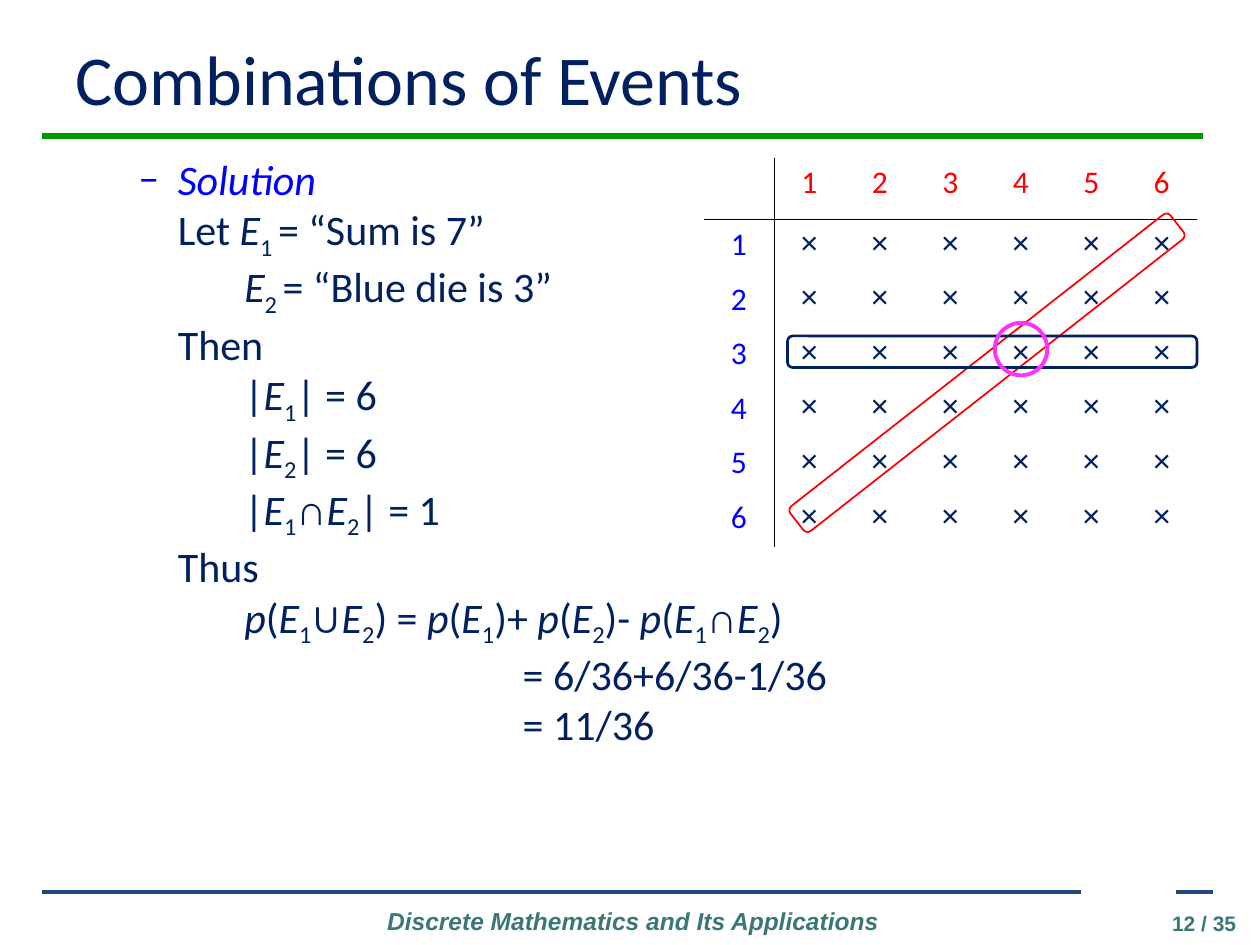
from dataclasses import dataclass
from typing import Any

from lxml import etree
from pptx import Presentation
from pptx import util as u
from pptx.dml.color import RGBColor
from pptx.enum import shapes, text
from pptx.oxml import ns

Pt = u.Pt
SIDES = ("lnL", "lnR", "lnT", "lnB")


def color(value):
    return RGBColor.from_string(value)


def add_xml(parent, tag, **attributes):
    return etree.SubElement(parent, ns.qn(f"a:{tag}"), attributes)


@dataclass
class Sheet:
    slide: Any
    font: str = "Calibri"
    symbol_font: str = "Arial"
    ink: str = "002060"
    blue: str = "0000FF"
    red: str = "FF0000"
    footer: str = "3A7877"

    def style(self, span, size, ink=None, font=None, bold=False, italic=False):
        span.font.size = Pt(size)
        span.font.name = font or self.font
        span.font.color.rgb = color(ink or self.ink)
        span.font.bold = bold
        span.font.italic = italic

    def frame(self, left, top, width, height):
        box = self.slide.shapes.add_textbox(Pt(left), Pt(top), Pt(width), Pt(height))
        box.text_frame.word_wrap = True
        return box.text_frame

    def label(self, words, place, size, align=text.PP_ALIGN.LEFT,
              anchor=text.MSO_ANCHOR.TOP, **look):
        frame = self.frame(*place)
        frame.vertical_anchor = anchor
        frame.text = words
        para = frame.paragraphs[0]
        para.alignment = align
        self.style(para.runs[0], size, **look)

    def formula(self, para, markup, indent, size=24):
        para._p.get_or_add_pPr().set("marL", str(Pt(indent)))
        for part in filter(None, markup.split("~")):
            mark = part[0] if part[0] in "*_" else ""
            span = para.add_run()
            span.text = part[len(mark):]
            symbol = span.text in "∩∪"
            self.style(span, size, italic=mark == "*",
                       font=self.symbol_font if symbol else None)
            if mark == "_":
                span.font._element.set("baseline", "-25000")

    def solution(self, heading, lines, place):
        frame = self.frame(*place)
        frame.text = heading
        para = frame.paragraphs[0]
        settings = para._p.get_or_add_pPr()
        settings.set("marL", str(Pt(58.5)))
        settings.set("indent", str(Pt(-22.5)))
        add_xml(add_xml(settings, "buClr"), "srgbClr", val=self.blue)
        add_xml(settings, "buFont", typeface=self.font)
        add_xml(settings, "buChar", char="–")
        self.style(para.runs[0], 24, self.blue, italic=True)
        for indent, markup in lines:
            self.formula(frame.add_paragraph(), markup, indent)

    def rule(self, left, right, top, ink, weight):
        line = self.slide.shapes.add_connector(
            shapes.MSO_CONNECTOR.STRAIGHT, Pt(left), Pt(top), Pt(right), Pt(top))
        line.line.color.rgb = color(ink)
        line.line.width = Pt(weight)
        add_xml(line._element.spPr, "effectLst")

    def outline(self, kind, place, ink, weight, rotation=0):
        shape = self.slide.shapes.add_shape(kind, *map(Pt, place))
        shape.shadow.inherit = False
        shape.fill.background()
        shape.line.color.rgb = color(ink)
        shape.line.width = Pt(weight)
        shape.rotation = rotation

    def borders(self, cell, drawn):
        settings = cell._tc.get_or_add_tcPr()
        for side in SIDES:
            line = add_xml(settings, side, w=str(Pt(0.45)))
            if side in drawn:
                add_xml(add_xml(line, "solidFill"), "srgbClr", val="000000")
            else:
                add_xml(line, "noFill")

    def dice_table(self, left, top, column_width, head_height, row_height, faces=6):
        count = faces + 1
        table = self.slide.shapes.add_table(
            count, count, Pt(left), Pt(top), Pt(column_width * count),
            Pt(head_height + row_height * faces)).table
        table.first_row = table.horz_banding = False
        for row in range(count):
            table.rows[row].height = Pt(row_height if row else head_height)
            table.columns[row].width = Pt(column_width)
            for column in range(count):
                cell = table.cell(row, column)
                drawn = {("lnR", "lnL")[column]} if column < 2 else set()
                if row < 2:
                    drawn.add(("lnB", "lnT")[row])
                self.borders(cell, drawn)
                cell.fill.background()
                if row and column:
                    words, ink, font = "×", self.ink, self.symbol_font
                elif row or column:
                    words = str(row or column)
                    ink, font = self.blue if row else self.red, self.font
                else:
                    continue
                cell.text = words
                para = cell.text_frame.paragraphs[0]
                para.alignment = text.PP_ALIGN.CENTER
                self.style(para.runs[0], 18, ink, font)


def main():
    deck = Presentation()
    deck.slide_width, deck.slide_height = Pt(720), Pt(540)
    page = Sheet(deck.slides.add_slide(deck.slide_layouts[6]))

    page.rule(24, 687.6, 77.8, "009900", 3)
    for left, right in ((24, 618), (672, 693.4)):
        page.rule(left, right, 509.8, "1F497D", 2.25)
    page.label("Discrete Mathematics and Its Applications", (203.8, 514.1, 316, 24.5),
               14, text.PP_ALIGN.CENTER, ink=page.footer, font="Arial",
               bold=True, italic=True)
    page.label("12 / 35", (640, 517, 73.5, 17.3), 12, text.PP_ALIGN.RIGHT,
               ink=page.footer, font="Arial", bold=True)
    page.label("Combinations of Events", (36, 16.6, 648, 55.4), 40,
               anchor=text.MSO_ANCHOR.MIDDLE)

    first, second = "~*E~_1~", "~*E~_2~"
    both = f"{first}∩{second}"
    outer, inner, deep = 58.5, 96.5, 255.6
    page.solution("Solution", (
        (outer, "Let ~*E~_1 ~= “Sum is 7”"),
        (inner, "~*E~_2 ~= “Blue die is 3”"),
        (outer, "Then"),
        (inner, f"|{first}| = 6"),
        (inner, f"|{second}| = 6"),
        (inner, f"|{both}| = 1"),
        (outer, "Thus"),
        (inner, f"~*p~({first}∪{second}) = ~*p~({first})+~* p~({second})- ~*p~({both})"),
        (deep, "= 6/36+6/36-1/36"),
        (deep, "= 11/36"),
    ), (36, 84, 672, 348))

    page.dice_table(402, 90, 40.29, 35.4, 31.2)
    rounded = shapes.MSO_SHAPE.ROUNDED_RECTANGLE
    page.outline(rounded, (426, 204, 276, 18), page.red, 1, 321.9)
    page.outline(rounded, (450, 192, 234, 18), page.ink, 1.5)
    page.outline(shapes.MSO_SHAPE.OVAL, (568.5, 184.5, 30, 30), "FF33FF", 2.25)
    deck.save("out.pptx")


if __name__ == "__main__":
    main()
